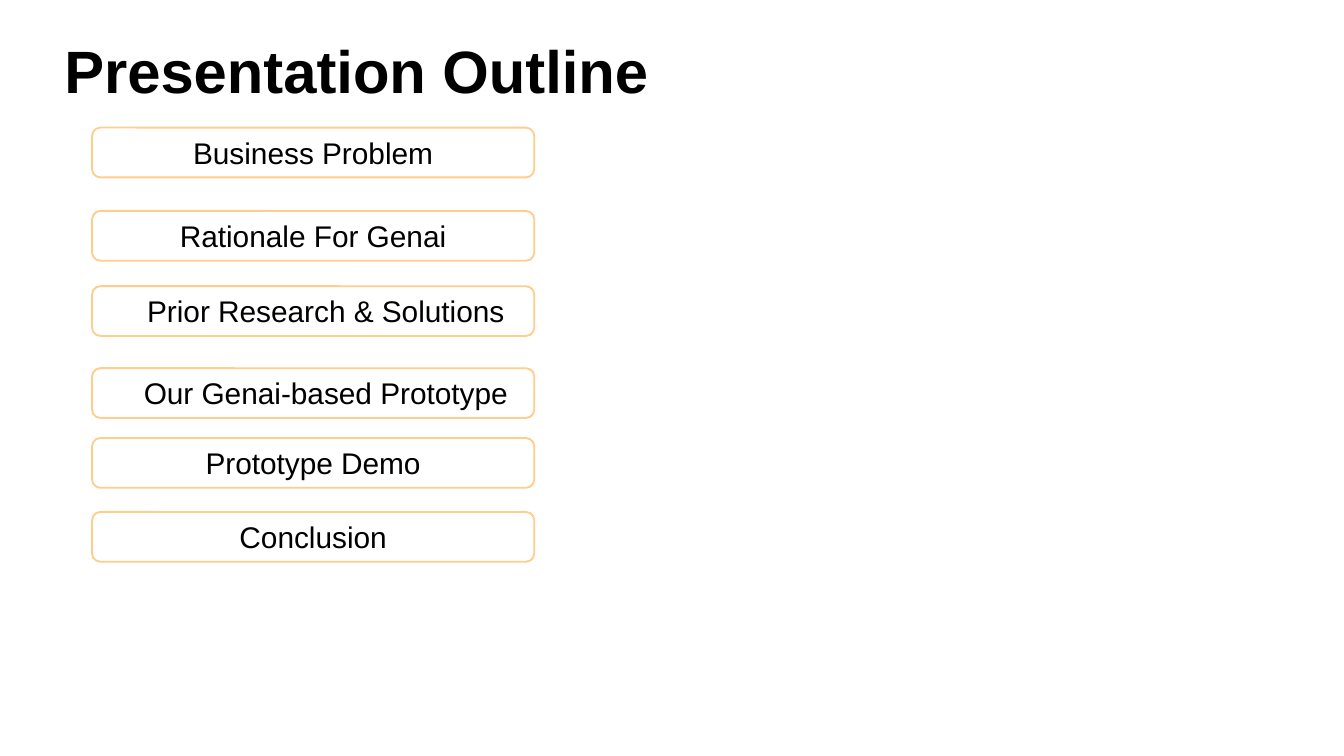
from dataclasses import dataclass

from pptx import Presentation
from pptx.dml.color import RGBColor as RGB
from pptx.enum.shapes import MSO_SHAPE as Shape
from pptx.enum.text import MSO_ANCHOR as Anchor, PP_ALIGN as Align
from pptx.util import Emu, Pt

PX = 4572  # EMU per px, 200 px to the inch


@dataclass(frozen=True)
class Theme:
    font: str = "Arial"
    ink: RGB = RGB(0x00, 0x00, 0x00)
    paper: RGB = RGB(0xFF, 0xFF, 0xFF)
    border: RGB = RGB(0xFF, 0xCD, 0x8C)
    title: int = 32
    item: int = 16


THEME = Theme()

# Each topic: label, top within the list, left indent
TOPICS = [
    ("Business Problem", 0, 0),
    ("Rationale For Genai", 124, 0),
    ("Prior Research & Solutions", 236, 38),
    ("Our Genai-based Prototype", 358, 38),
    ("Prototype Demo", 462, 0),
    ("Conclusion", 572, 0),
]


def px(*lengths):
    return [Emu(n * PX) for n in lengths]


def set_attrs(obj, values):
    for name, value in values.items():
        setattr(obj, name, value)


def write(p, text, size, bold=False):
    r = p.add_run()
    r.text = text
    set_attrs(r.font, {"name": THEME.font, "size": Pt(size), "bold": bold})
    r.font.color.rgb = THEME.ink


def add_title(slide, box, text):
    tf = slide.shapes.add_textbox(*px(*box)).text_frame
    set_attrs(tf, {"word_wrap": True, "vertical_anchor": Anchor.TOP})
    for side in ("left", "top", "right", "bottom"):
        setattr(tf, f"margin_{side}", Emu(20 * PX))
    write(tf.paragraphs[0], text, THEME.title, bold=True)


def add_topic(slide, box, text, indent):
    sp = slide.shapes.add_shape(Shape.ROUNDED_RECTANGLE, *px(*box))
    sp.shadow.inherit = False
    sp.fill.solid()
    sp.fill.fore_color.rgb = THEME.paper
    sp.line.color.rgb = THEME.border
    sp.line.width = Pt(1)
    tf = sp.text_frame
    set_attrs(tf, {"word_wrap": True, "vertical_anchor": Anchor.MIDDLE})
    p = tf.paragraphs[0]
    p.alignment = Align.CENTER
    if indent:
        pPr = p._p.get_or_add_pPr()
        pPr.set("marL", str(indent * PX))
        pPr.set("indent", "0")
    write(p, text, THEME.item)


def add_outline(slide, box, topics, row_height):
    left, top, width = box
    for text, offset, indent in topics:
        add_topic(slide, (left, top + offset, width, row_height), text, indent)


def main():
    prs = Presentation()
    prs.slide_width, prs.slide_height = px(2000, 1125)
    slide = prs.slides.add_slide(prs.slide_layouts[6])

    # Heading
    add_title(slide, (76, 30, 1258, 86), "Presentation Outline")
    # Topic list
    add_outline(slide, (137, 190, 658), TOPICS, row_height=74)

    prs.save("out.pptx")


if __name__ == "__main__":
    main()
